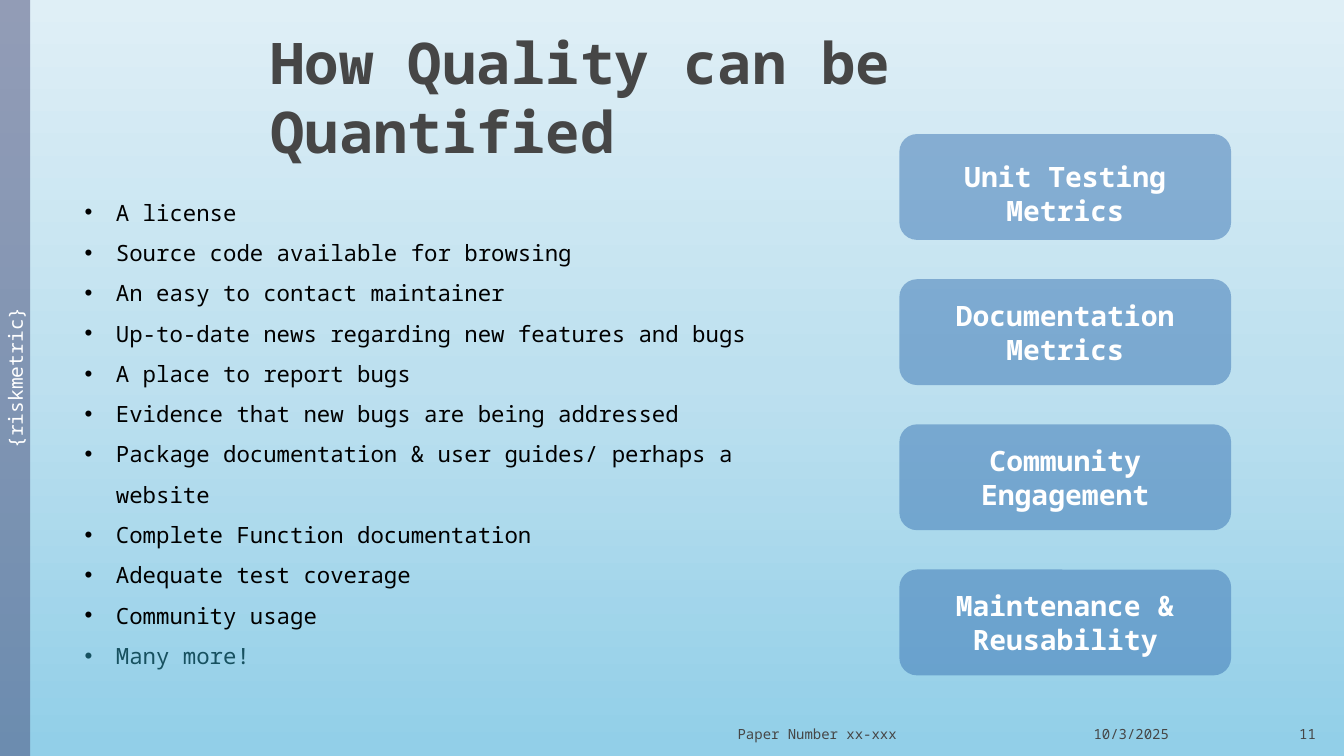
import pptx
import pptx.util
import pptx.dml.color
import pptx.enum.shapes
import pptx.enum.text
import pptx.oxml
import pptx.oxml.ns
from lxml import etree

Inches, Pt = pptx.util.Inches, pptx.util.Pt
RGBColor = pptx.dml.color.RGBColor
Align, Anchor = pptx.enum.text.PP_ALIGN, pptx.enum.text.MSO_ANCHOR
Preset = pptx.enum.shapes.MSO_SHAPE
qn = pptx.oxml.ns.qn

FONT = "Noto Sans Mono"
GREY = RGBColor(0x46, 0x46, 0x46)
BLACK = RGBColor(0, 0, 0)
WHITE = RGBColor(0xFF, 0xFF, 0xFF)
TEAL = RGBColor(0x17, 0x51, 0x60)
NAVY = RGBColor(0x47, 0x4B, 0x78)
BLUE = RGBColor(0x39, 0x73, 0xB3)
SKY = [(0, RGBColor(0xDF, 0xEF, 0xF6)),
       (50, RGBColor(0xBD, 0xE0, 0xEF)),
       (99, RGBColor(0x92, 0xCF, 0xE8))]

WIDTH, HEIGHT = 13.33, 7.5
CRITERIA = [
    "A license",
    "Source code available for browsing",
    "An easy to contact maintainer",
    "Up-to-date news regarding new features and bugs",
    "A place to report bugs",
    "Evidence that new bugs are being addressed",
    "Package documentation & user guides/ perhaps a website",
    "Complete Function documentation",
    "Adequate test coverage",
    "Community usage",
    "Many more!",
]
# Card label and how far its text sits below the card's centre
CARDS = [
    ("Unit Testing Metrics", 0.06),
    ("Documentation Metrics", 0),
    ("Community Engagement", 0),
    ("Maintenance & Reusability", 0),
]
# Footer text, width and alignment, from left to right
FOOTERS = [
    ("Paper Number xx-xxx", 3.43, Align.CENTER),
    ("10/3/2025", 2.8, Align.CENTER),
    ("11", 0.53, Align.RIGHT),
]


def place(shape, left, top, width, height):
    shape.left, shape.top = Inches(left), Inches(top)
    shape.width, shape.height = Inches(width), Inches(height)


def style(para, size, color, bold=False, align=Align.LEFT):
    para.alignment = align
    para.font.name, para.font.size = FONT, Pt(size)
    para.font.bold, para.font.color.rgb = bold, color


def add_panel(page, preset, box, color):
    """A borderless, half-transparent shape with centred text."""
    panel = page.shapes.add_shape(preset, *map(Inches, box))
    panel.shadow.inherit = False
    panel.line.fill.background()
    panel.fill.solid()
    panel.fill.fore_color.rgb = color
    fill_color = panel._element.spPr.find(".//" + qn("a:srgbClr"))
    etree.SubElement(fill_color, qn("a:alpha"), val="50000")
    panel.text_frame.word_wrap = True
    panel.text_frame.vertical_anchor = Anchor.MIDDLE
    return panel


def add_background(page):
    stops = "".join(f'<a:gs pos="{share * 1000}"><a:srgbClr val="{color}"/></a:gs>'
                    for share, color in SKY)
    background = pptx.oxml.parse_xml(
        f'<p:bg {pptx.oxml.ns.nsdecls("p", "a")}><p:bgPr><a:gradFill rotWithShape="1">'
        f'<a:gsLst>{stops}</a:gsLst><a:lin ang="5400000" scaled="0"/>'
        '</a:gradFill><a:effectLst/></p:bgPr></p:bg>')
    page._element.cSld.insert(0, background)


def add_title(page, box):
    title = page.shapes.title
    place(title, *box)
    frame = title.text_frame
    frame.text = "How Quality can be Quantified"
    frame.word_wrap, frame.vertical_anchor = True, Anchor.MIDDLE
    frame.auto_size = pptx.enum.text.MSO_AUTO_SIZE.NONE
    style(frame.paragraphs[0], 41, GREY, bold=True)


def add_sidebar(page, box):
    sidebar = add_panel(page, Preset.RECTANGLE, box, NAVY)
    frame = sidebar.text_frame
    frame._txBody.bodyPr.set("vert", "vert270")
    frame.text = "{riskmetric}"
    style(frame.paragraphs[0], 14, WHITE, align=Align.CENTER)


def add_criteria(page, box):
    body = page.placeholders[1]
    place(body, *box)
    frame = body.text_frame
    frame.text = "\n".join(CRITERIA)
    frame.word_wrap, frame.vertical_anchor = True, Anchor.TOP
    frame.auto_size = pptx.enum.text.MSO_AUTO_SIZE.NONE
    indent = Inches(0.31)
    for para in frame.paragraphs:
        para.line_spacing = 1.5
        para.space_before = Pt(0)
        properties = para._p.get_or_add_pPr()
        properties.set("marL", str(indent))
        properties.set("indent", str(-indent))
        etree.SubElement(properties, qn("a:buFont"), typeface="Arial")
        etree.SubElement(properties, qn("a:buChar"), char="•")
        style(para, 16, BLACK)
    closing = frame.paragraphs[-1]
    closing.runs[0].font.color.rgb = TEAL


def add_cards(page, box, card_height):
    left, top, width, height = box
    pitch = (height - card_height) / (len(CARDS) - 1)
    for row, (label, drop) in enumerate(CARDS):
        card = add_panel(page, Preset.ROUNDED_RECTANGLE,
                         (left, top + row * pitch, width, card_height), BLUE)
        frame = card.text_frame
        frame.margin_top = Inches(0.05 + 2 * drop)
        frame.text = label
        style(frame.paragraphs[0], 20, WHITE, bold=True, align=Align.CENTER)


def add_footer(page, left, top, height):
    for text, width, align in FOOTERS:
        box = page.shapes.add_textbox(*map(Inches, (left, top, width, height)))
        frame = box.text_frame
        frame.word_wrap, frame.vertical_anchor = True, Anchor.BOTTOM
        frame.text = text
        style(frame.paragraphs[0], 10, GREY, align=align)
        left += width


def main():
    deck = pptx.Presentation()
    deck.slide_width, deck.slide_height = Inches(WIDTH), Inches(HEIGHT)
    page = deck.slides.add_slide(deck.slide_layouts[1])
    add_background(page)
    add_title(page, (2.58, 0.33, 10, 1.25))
    add_sidebar(page, (0, 0, 0.3, HEIGHT))
    add_criteria(page, (0.74, 1.79, 7.43, 4.95))
    add_cards(page, (8.92, 1.33, 3.29, 5.37), 1.05)
    add_footer(page, 6.39, 7.01, 0.4)
    deck.save("out.pptx")


if __name__ == "__main__":
    main()
